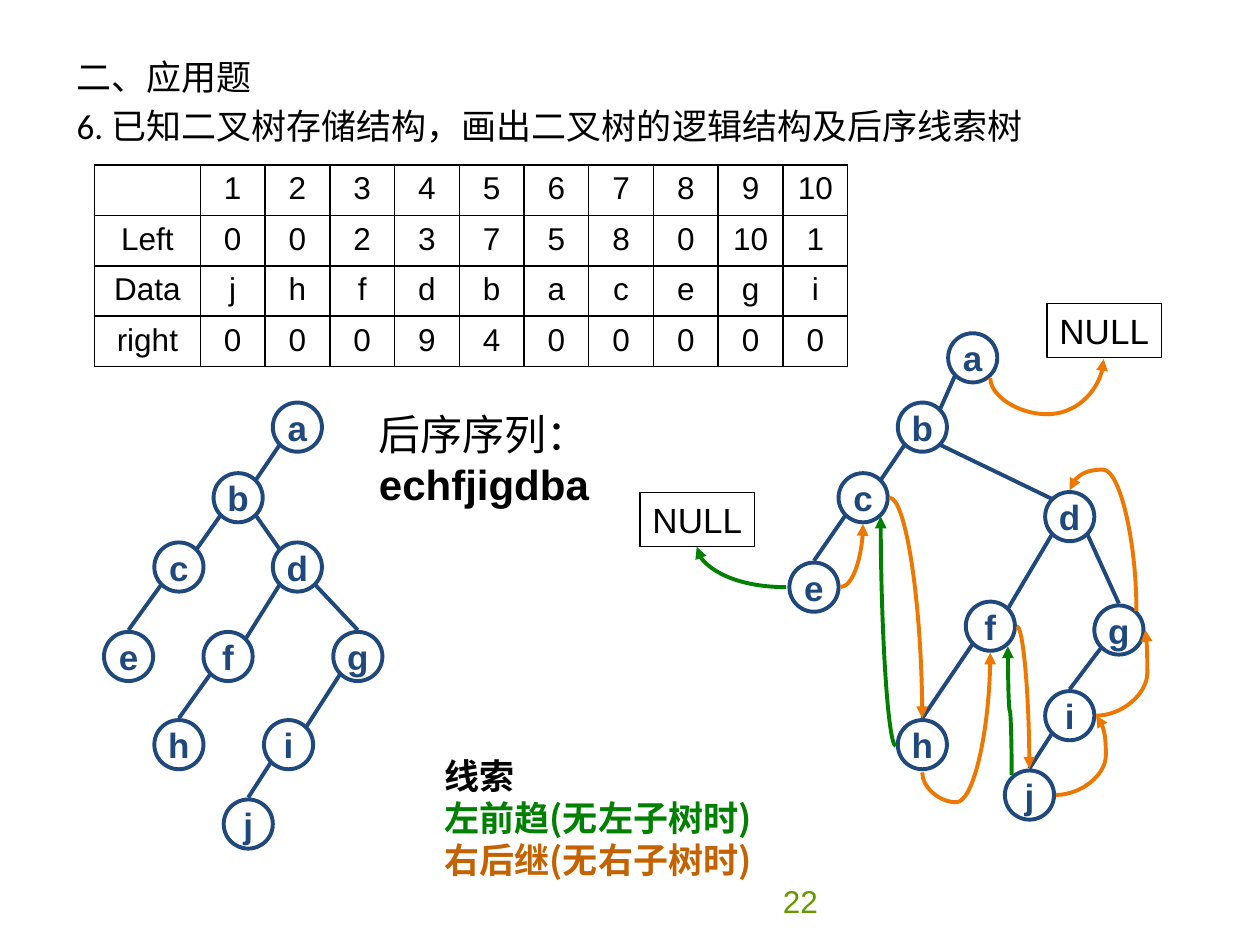
import pptx
import pptx.chart.data
import pptx.dml.color
import pptx.enum.shapes
import pptx.enum.text
import pptx.oxml
import pptx.oxml.ns
import pptx.util
from pptx.util import Inches

THEME = {
    "ink": "000000", "paper": "FFFFFF", "tree": "1F497D", "left": "008000",
    "right": "EE7700", "right_label": "C46200", "page": "669900",
    "font": "Arial", "heading_font": "Calibri", "legend_font": "Noto Sans CJK SC",
    "small": 18, "normal": 20, "large": 24, "tree_line": 2.25, "box_line": 0.75,
}
HEADING = ["二、应用题", "6. 已知二叉树存储结构，画出二叉树的逻辑结构及后序线索树"]
STORAGE = [
    ["", "1", "2", "3", "4", "5", "6", "7", "8", "9", "10"],
    ["Left", "0", "0", "2", "3", "7", "5", "8", "0", "10", "1"],
    ["Data", "j", "h", "f", "d", "b", "a", "c", "e", "g", "i"],
    ["right", "0", "0", "0", "9", "4", "0", "0", "0", "0", "0"],
]
SEQUENCE = ["后序序列：", ("echfjigdba", {"bold": True})]
LEGEND = ["线索", ("左前趋(无左子树时)", {"color": THEME["left"]}),
          ("右后继(无右子树时)", {"color": THEME["right_label"]})]
PAGE_NUMBER = "22"
NODE_SIZE, DIAGONAL, TOP_GAP = 0.39, 0.14, 0.21
CHILDREN = {"a": "b", "b": "cd", "c": "e", "d": "fg", "f": "h", "g": "i", "i": "j"}
LOGICAL_TREE = {
    "centers": {"a": (2.36, 3.39), "b": (1.89, 3.95), "c": (1.42, 4.5), "d": (2.36, 4.5),
                "e": (1.02, 5.21), "f": (1.81, 5.21), "g": (2.84, 5.21),
                "h": (1.42, 5.91), "i": (2.29, 5.91), "j": (1.97, 6.54)},
    "joined_at_top": "eghj",
}
THREADED_TREE = {
    "centers": {"a": (7.72, 2.84), "b": (7.32, 3.39), "c": (6.85, 3.95), "d": (8.49, 4.1),
                "e": (6.46, 4.66), "f": (7.86, 4.97), "g": (8.88, 5),
                "h": (7.32, 5.91), "i": (8.49, 5.68), "j": (8.17, 6.31)},
    "joined_at_top": "eghij",
}
NULL_BOXES = [(5.08, 3.91), (8.31, 2.41)]
THREADS = [
    {"side": "left", "start": (6.24, 4.66), "end": (5.53, 4.34)},
    {"side": "right", "start": (6.67, 4.66), "end": (6.85, 4.16)},
    {"side": "right", "start": (7.06, 3.95), "end": (7.32, 5.7)},
    {"side": "left", "start": (7.11, 5.92), "end": (6.99, 4.1)},
    {"side": "right", "start": (7.86, 3), "end": (8.76, 2.85), "bend": -1.92, "upright": True},
    {"side": "left", "start": (8.03, 6.15), "end": (8, 5.13), "bend": 0.5, "upright": True},
    {"side": "right", "start": (8.07, 4.97), "end": (8.17, 6.1)},
    {"side": "right", "start": (9.02, 4.85), "end": (8.49, 3.89), "bend": 1.17, "upright": True},
    {"side": "right", "start": (7.32, 6.13), "end": (7.86, 5.18), "bend": -0.25, "upright": True},
    {"side": "right", "start": (8.7, 5.68), "end": (9.09, 5), "bend": 1.04},
    {"side": "right", "start": (8.38, 6.31), "end": (8.7, 5.68), "bend": 1.24},
]
ALIGN = pptx.enum.text.PP_ALIGN
ANCHOR = pptx.enum.text.MSO_ANCHOR
CONNECTOR = pptx.enum.shapes.MSO_CONNECTOR
SHAPE = pptx.enum.shapes.MSO_SHAPE
QN = pptx.oxml.ns.qn


def rgb(value):
    return pptx.dml.color.RGBColor.from_string(value)


def add_xml(parent, markup):
    parent.append(pptx.oxml.parse_xml(markup.replace(" ", f" {pptx.oxml.ns.nsdecls('a')} ", 1)))


def write(frame, lines, align=ALIGN.LEFT, anchor=ANCHOR.TOP, wrap=True, gap=0, hanging=0, **style):
    frame.word_wrap = wrap
    frame.vertical_anchor = anchor
    for index, line in enumerate(lines):
        words, changes = line if isinstance(line, tuple) else (line, {})
        look = {"size": THEME["normal"], "color": THEME["ink"], "font": THEME["font"],
                "bold": False, **style, **changes}
        paragraph = frame.add_paragraph() if index else frame.paragraphs[0]
        paragraph.alignment = align
        if index and gap:
            paragraph.space_before = pptx.util.Pt(gap)
        if hanging:
            properties = paragraph._p.get_or_add_pPr()
            properties.set("marL", str(Inches(hanging)))
            properties.set("indent", str(Inches(-hanging)))
        run = paragraph.add_run()
        run.text = words
        run.font.size = pptx.util.Pt(look["size"])
        run.font.name = look["font"]
        run.font.bold = look["bold"]
        run.font.color.rgb = rgb(look["color"])


def add_box(slide, kind, place, lines, fill=None, line=None, width=0, **style):
    box = slide.shapes.add_shape(kind, *map(Inches, place))
    box.shadow.inherit = False
    if fill:
        box.fill.solid()
        box.fill.fore_color.rgb = rgb(fill)
    else:
        box.fill.background()
    if line:
        box.line.color.rgb = rgb(line)
        box.line.width = pptx.util.Pt(width)
    else:
        box.line.fill.background()
    write(box.text_frame, lines, **style)


def add_link(slide, kind, start, end, color):
    link = slide.shapes.add_connector(kind, *map(Inches, (*start, *end)))
    link.line.color.rgb = rgb(color)
    link.line.width = pptx.util.Pt(THEME["tree_line"])
    add_xml(link._element.spPr, "<a:effectLst />")
    return link


def add_tree(slide, centers, joined_at_top):
    for letter, (x, y) in centers.items():
        add_box(slide, SHAPE.OVAL, (x - NODE_SIZE / 2, y - NODE_SIZE / 2, NODE_SIZE, NODE_SIZE),
                [letter], fill=THEME["paper"], line=THEME["tree"], width=THEME["tree_line"],
                align=ALIGN.CENTER, anchor=ANCHOR.MIDDLE, wrap=False,
                color=THEME["tree"], bold=True)
    for parent, children in CHILDREN.items():
        for child in children:
            (px, py), (cx, cy) = centers[parent], centers[child]
            offset = DIAGONAL if cx > px else -DIAGONAL
            end = (cx, cy - TOP_GAP) if child in joined_at_top else (cx - offset, cy - DIAGONAL)
            add_link(slide, CONNECTOR.STRAIGHT, (px + offset, py + DIAGONAL), end, THEME["tree"])


def add_thread(slide, side, start, end, bend=None, upright=False):
    if upright:
        (sx, sy), (ex, ey) = start, end
        mx, my, dx, dy = (sx + ex) / 2, (sy + ey) / 2, (ex - sx) / 2, (ey - sy) / 2
        start, end = (mx - dy, my + dx), (mx + dy, my - dx)
    thread = add_link(slide, CONNECTOR.CURVE, start, end, THEME[side])
    properties = thread._element.spPr
    if upright:
        properties.find(QN("a:xfrm")).set("rot", "5400000")
    outline = properties.find(QN("a:prstGeom"))
    if bend is None:
        outline.set("prst", "curvedConnector2")
    else:
        add_xml(outline.find(QN("a:avLst")),
                f'<a:gd name="adj1" fmla="val {round(bend * 100000)}"/>')
    add_xml(properties.find(QN("a:ln")), '<a:tailEnd type="triangle"/>')


def add_storage(slide):
    label_width, column_width, row_height = 0.84, 0.51, 0.4
    table = slide.shapes.add_table(len(STORAGE), len(STORAGE[0]), Inches(0.75), Inches(1.31),
                                   Inches(5.98), Inches(1.6)).table
    table.first_row = table.horz_banding = False
    for index, column in enumerate(table.columns):
        column.width = Inches(column_width + 0.004 if index else label_width)
    for row, values in zip(table.rows, STORAGE):
        row.height = Inches(row_height)
        for cell, value in zip(row.cells, values):
            write(cell.text_frame, [value], align=ALIGN.CENTER, size=THEME["small"])
            for edge in ("lnL", "lnR", "lnT", "lnB"):
                add_xml(cell._tc.get_or_add_tcPr(),
                        f'<a:{edge} w="12700"><a:solidFill><a:srgbClr val="{THEME["ink"]}"/>'
                        f'</a:solidFill></a:{edge}>')
            cell.fill.background()


def main():
    """Build the slide on post-order threaded binary trees."""
    deck = pptx.Presentation()
    deck.slide_width, deck.slide_height = Inches(10), Inches(7.5)
    slide = deck.slides.add_slide(deck.slide_layouts[6])
    add_box(slide, SHAPE.RECTANGLE, (3.42, 6.95, 3.17, 0.4), [PAGE_NUMBER], align=ALIGN.RIGHT,
            anchor=ANCHOR.MIDDLE, size=THEME["small"], color=THEME["page"])
    add_box(slide, SHAPE.RECTANGLE, (0.51, 0.39, 8.9, 0.48), HEADING, fill=THEME["paper"],
            gap=4, hanging=0.38, font=THEME["heading_font"])
    add_storage(slide)
    add_tree(slide, **LOGICAL_TREE)
    add_tree(slide, **THREADED_TREE)
    for left, top in NULL_BOXES:
        add_box(slide, SHAPE.RECTANGLE, (left, top, 0.91, 0.43), ["NULL"], line=THEME["ink"],
                width=THEME["box_line"], wrap=False)
    for thread in THREADS:
        add_thread(slide, **thread)
    add_box(slide, SHAPE.RECTANGLE, (2.91, 3.19, 2.13, 0.9), SEQUENCE, fill=THEME["paper"],
            anchor=ANCHOR.MIDDLE, size=THEME["large"])
    add_box(slide, SHAPE.RECTANGLE, (3.43, 5.94, 3.23, 1.11), LEGEND, fill=THEME["paper"],
            font=THEME["legend_font"], bold=True)
    deck.save("out.pptx")


if __name__ == "__main__":
    main()
